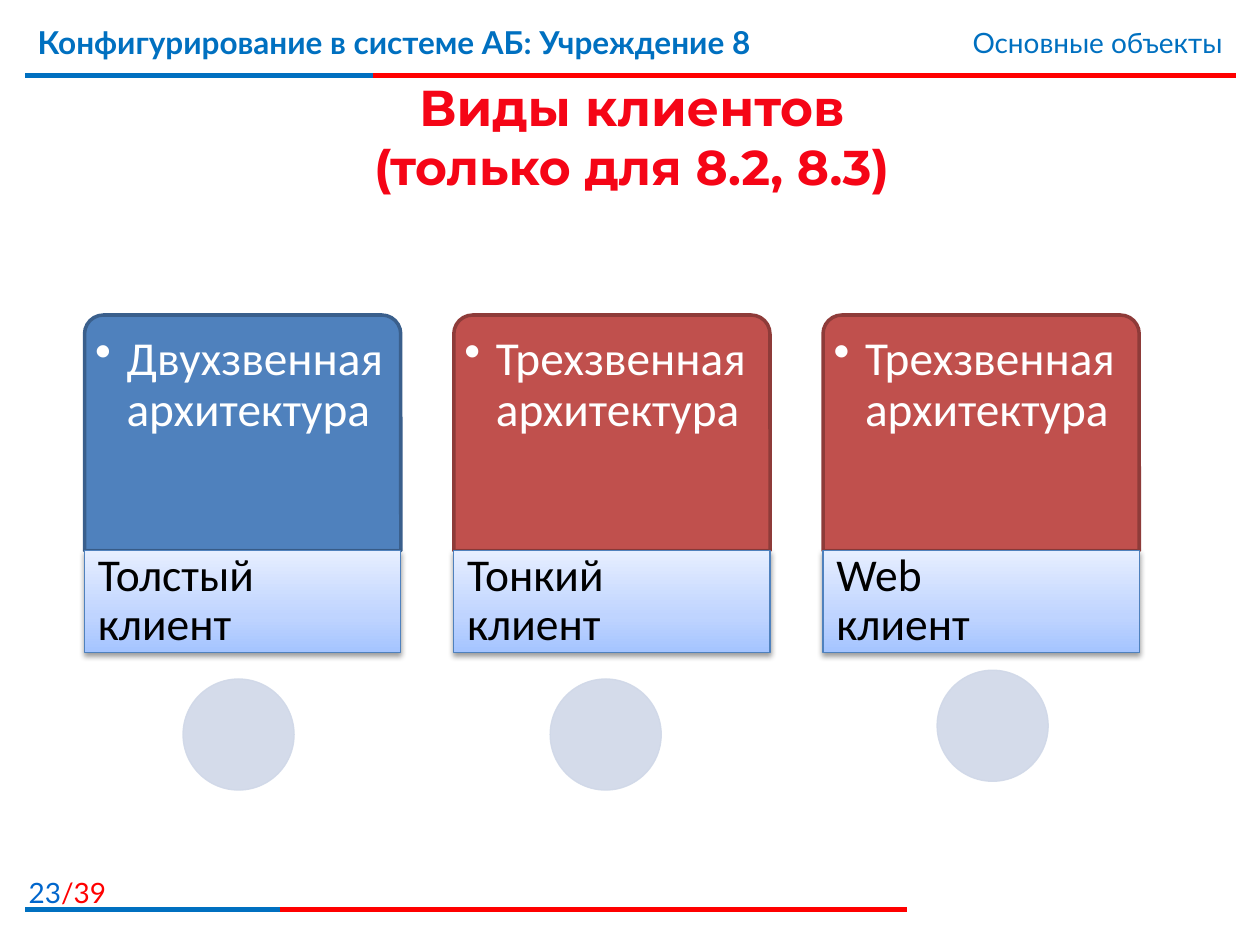
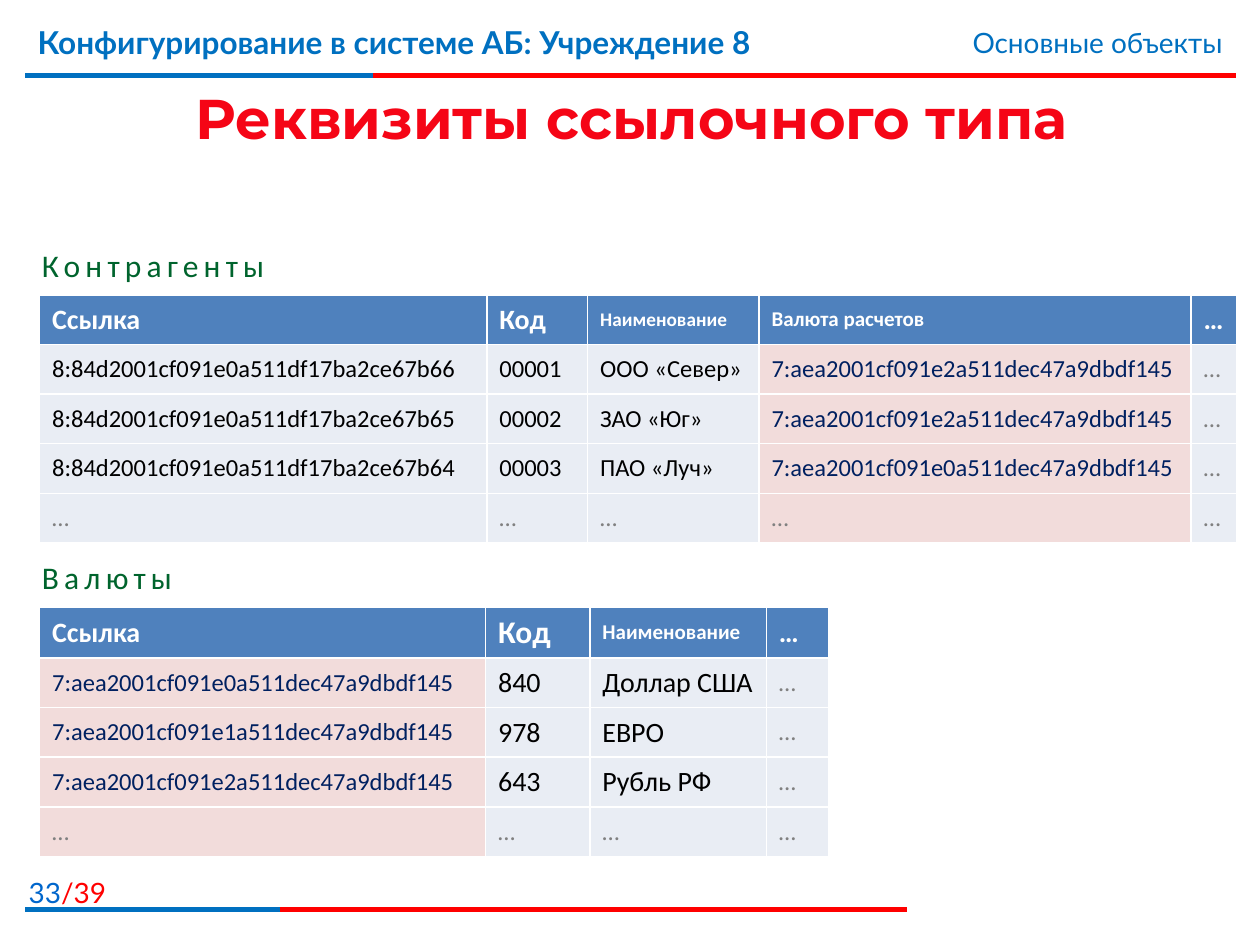
from copy import deepcopy
from dataclasses import dataclass

from lxml.etree import SubElement
from pptx import Presentation
from pptx.dml.color import RGBColor
from pptx.enum.shapes import MSO_CONNECTOR as Connector, MSO_SHAPE as Preset
from pptx.enum.text import MSO_ANCHOR as Anchor, PP_ALIGN as Align
from pptx.oxml.ns import qn
from pptx.util import Pt


@dataclass(frozen=True)
class Theme:
    blue: str = "0070C0"
    page_blue: str = "0066CC"
    red: str = "FF0000"
    title_red: str = "F50516"
    white: str = "FFFFFF"
    black: str = "000000"
    gray: str = "808080"
    navy: str = "002060"
    green: str = "00642D"
    accent_blue: str = "4F81BD"
    accent_blue_edge: str = "3A5F8C"
    accent_red: str = "C0504D"
    accent_red_edge: str = "8E3B39"
    circle: str = "D0D8E8"
    cell: str = "E9EDF4"
    reference_cell: str = "F2DCDB"
    label_stops: tuple = ((0, "A4C4FF"), (0.35, "BFD4FF"), (1, "E6EEFF"))
    frame_font: str = "Lato"
    title_font: str = "Montserrat"
    body_font: str = "Calibri"
    header_size: float = 18
    small_header_size: float = 16
    card_size: float = 27
    label_size: float = 26
    caption_size: float = 18
    cell_size: float = 14


THEME = Theme()
COURSE = "Конфигурирование в системе АБ: Учреждение 8"
SECTION = "Основные объекты"
PAGE_TOTAL = 39
ELLIPSIS = "…"


def rgb(color):
    return RGBColor.from_string(color)


def style(font, name, size, color, bold=False):
    font.name, font.size, font.bold = name, Pt(size), bold
    font.color.rgb = rgb(color)


def add_text_box(page, box, align=Align.LEFT, anchor=Anchor.TOP, wrap=True):
    """Add an empty text box and return its first paragraph."""
    frame = page.shapes.add_textbox(*map(Pt, box)).text_frame
    frame.word_wrap = wrap
    frame.vertical_anchor = anchor
    para = frame.paragraphs[0]
    para.alignment = align
    return para


def add_rule(page, left, right, top, color):
    rule = page.shapes.add_connector(
        Connector.STRAIGHT, Pt(left), Pt(top), Pt(right), Pt(top))
    rule.line.color.rgb = rgb(color)
    rule.line.width = Pt(3)
    SubElement(rule._element.spPr, qn("a:effectLst"))


def add_two_tone_rule(page, left, middle, right, top):
    add_rule(page, left, right, top, THEME.red)
    add_rule(page, left, middle, top, THEME.blue)


def add_header(page):
    add_two_tone_rule(page, 14.4, 213.2, 706.3, 43.2)
    course = add_text_box(page, (14.4, 9.4, 532.8, 44.6))
    course.text = COURSE
    style(course.font, THEME.frame_font, THEME.header_size, THEME.blue, True)
    section = add_text_box(page, (427.7, 10.8, 278, 26.6), Align.RIGHT)
    section.text = SECTION
    style(section.font, THEME.frame_font, THEME.small_header_size, THEME.blue)


def add_footer(page, number):
    para = add_text_box(page, (0, 496.8, 67.7, 23), Align.RIGHT)
    for text, color in ((str(number), THEME.page_blue),
                        (f"/{PAGE_TOTAL}", THEME.red)):
        span = para.add_run()
        span.text = text
        style(span.font, THEME.frame_font, THEME.small_header_size, color)
    add_two_tone_rule(page, 14.4, 160, 518.4, 519.8)


def add_title(page, height, lines):
    """Add a centred title; lines holds (text, size) pairs."""
    para = add_text_box(page, (15.1, 45.4, 691.9, height),
                        Align.CENTER, Anchor.MIDDLE)
    for index, (text, size) in enumerate(lines):
        if index:
            para.add_line_break()
        span = para.add_run()
        span.text = text
        style(span.font, THEME.title_font, size, THEME.title_red, True)


def add_page(deck, number, title_height, title_lines):
    page = deck.slides.add_slide(deck.slide_layouts[6])
    add_header(page)
    add_title(page, title_height, title_lines)
    add_footer(page, number)
    return page


def add_shape(page, preset, box, edge, edge_width):
    shape = page.shapes.add_shape(preset, *map(Pt, box))
    shape.shadow.inherit = False
    shape.line.color.rgb = rgb(edge)
    shape.line.width = Pt(edge_width)
    return shape


def fill_solid(shape, color):
    shape.fill.solid()
    shape.fill.fore_color.rgb = rgb(color)


def fill_label_gradient(shape):
    shape.fill.gradient()
    stop_list = shape._element.spPr.find(".//" + qn("a:gsLst"))
    stop_list.insert(1, deepcopy(stop_list[0]))
    for stop, (position, color) in zip(shape.fill.gradient_stops,
                                       THEME.label_stops):
        stop.position = position
        stop.color.rgb = rgb(color)
    shape.fill.gradient_angle = 90


def add_soft_shadow(shape):
    effects = shape._element.spPr.find(qn("a:effectLst"))
    shadow = SubElement(effects, qn("a:outerShdw"), blurRad=str(Pt(3.1)),
                        dist=str(Pt(1.6)), dir="5400000", rotWithShape="0")
    color = SubElement(shadow, qn("a:srgbClr"), val=THEME.black)
    SubElement(color, qn("a:alpha"), val="38000")


def set_shape_text(shape, text, size, color, anchor, insets, bullet=False):
    frame = shape.text_frame
    frame.word_wrap = True
    frame.vertical_anchor = anchor
    (frame.margin_left, frame.margin_top,
     frame.margin_right, frame.margin_bottom) = map(Pt, insets)
    para = frame.paragraphs[0]
    para.text = text
    para.alignment = Align.LEFT
    para.line_spacing = 0.9
    if bullet:
        properties = para._p.get_or_add_pPr()
        properties.set("marL", str(Pt(18)))
        properties.set("indent", str(Pt(-18)))
        SubElement(properties, qn("a:buChar"), char="•")
    style(para.font, THEME.body_font, size, color)


def add_client_card(page, left, top, architecture, client, fill, edge):
    width, body_height = 180.7, 134.8
    body = add_shape(page, Preset.ROUND_2_SAME_RECTANGLE,
                     (left, top, width, body_height), edge, 2)
    body.adjustments[0], body.adjustments[1] = 0.08, 0
    fill_solid(body, fill)
    set_shape_text(body, architecture, THEME.card_size, THEME.white,
                   Anchor.TOP, (2.9, 8, 2.9, 2.9), bullet=True)

    label = add_shape(page, Preset.RECTANGLE,
                      (left, top + body_height, width, 58),
                      THEME.accent_blue, 0.75)
    fill_label_gradient(label)
    add_soft_shadow(label)
    set_shape_text(label, client, THEME.label_size, THEME.black,
                   Anchor.MIDDLE, (7.6, 0, 57, 0))


def add_circle(page, left, top):
    circle = add_shape(page, Preset.OVAL, (left, top, 63.5, 63.5),
                       THEME.circle, 0.75)
    fill_solid(circle, THEME.circle)
    for color in circle._element.spPr.iter(qn("a:srgbClr")):
        SubElement(color, qn("a:alpha"), val="90000")


def build_clients_page(deck):
    page = add_page(deck, 23, 64.8, [("Виды клиентов", 28.8),
                                     ("(только для 8.2, 8.3)", 27.9)])
    blue = (THEME.accent_blue, THEME.accent_blue_edge)
    red = (THEME.accent_red, THEME.accent_red_edge)
    clients = (
        ("Двухзвенная архитектура", "Толстый клиент", blue, 56.3, 208),
        ("Трехзвенная архитектура", "Тонкий клиент", red, 55.1, 208),
        ("Трехзвенная архитектура", "Web клиент", red, 65.2, 203),
    )
    top, pitch = 180, 211
    for index, (architecture, client, colors, dx, dy) in enumerate(clients):
        left = 48.3 + index * pitch
        add_client_card(page, left, top, architecture, client, *colors)
        add_circle(page, left + dx, top + dy)


def set_cell(cell, text, size, color, fill, bold=False):
    cell.fill.solid()
    cell.fill.fore_color.rgb = rgb(fill)
    cell.vertical_anchor = Anchor.MIDDLE
    para = cell.text_frame.paragraphs[0]
    para.text = text
    style(para.font, THEME.body_font, size, color, bold)


def add_catalog(page, left, top, caption, headings, widths, records,
                reference_column, column_sizes):
    """Add a captioned table; headings holds (text, size) pairs."""
    para = add_text_box(page, (left - 5.8, top - 31.7, 146, 29), wrap=False)
    span = para.add_run()
    span.text = caption
    style(span.font, THEME.body_font, THEME.caption_size, THEME.green)
    span._r.get_or_add_rPr().set("spc", "300")

    rows = [*records, [ELLIPSIS] * len(widths)]
    row_height = 28.35
    table = page.shapes.add_table(
        len(rows) + 1, len(widths), Pt(left), Pt(top), Pt(sum(widths)),
        Pt(row_height * (len(rows) + 1))).table
    table.horz_banding = False
    for row in table.rows:
        row.height = Pt(row_height)
    for column, (width, (text, size)) in enumerate(zip(widths, headings)):
        table.columns[column].width = Pt(width)
        set_cell(table.cell(0, column), text, size, THEME.white,
                 THEME.accent_blue, True)
    for number, values in enumerate(rows, start=1):
        for column, text in enumerate(values):
            is_reference = column == reference_column
            fill = THEME.reference_cell if is_reference else THEME.cell
            color = THEME.navy if is_reference else THEME.black
            size = column_sizes[column]
            if text == ELLIPSIS:
                color, size = THEME.gray, THEME.cell_size
            set_cell(table.cell(number, column), text, size, color, fill)


def build_references_page(deck):
    page = add_page(deck, 33, 43.2, [("Реквизиты ссылочного типа", 32)])
    left = 22.6
    add_catalog(
        page, left, 168.5, "Контрагенты",
        [("Ссылка", 16), ("Код", 16), ("Наименование", 11),
         ("Валюта расчетов", 12), (ELLIPSIS, 16)],
        [255.6, 57.6, 97.9, 246.9, 25.9],
        [("8:84d2001cf091e0a511df17ba2ce67b66", "00001", "ООО «Север»",
          "7:aea2001cf091e2a511dec47a9dbdf145", ELLIPSIS),
         ("8:84d2001cf091e0a511df17ba2ce67b65", "00002", "ЗАО «Юг»",
          "7:aea2001cf091e2a511dec47a9dbdf145", ELLIPSIS),
         ("8:84d2001cf091e0a511df17ba2ce67b64", "00003", "ПАО «Луч»",
          "7:aea2001cf091e0a511dec47a9dbdf145", ELLIPSIS)],
        reference_column=3, column_sizes=[THEME.cell_size] * 5)
    add_catalog(
        page, left, 347.2, "Валюты",
        [("Ссылка", 16), ("Код", 18), ("Наименование", 12), (ELLIPSIS, 16)],
        [254.9, 59.6, 100.8, 35.5],
        [("7:aea2001cf091e0a511dec47a9dbdf145", "840", "Доллар США", ELLIPSIS),
         ("7:aea2001cf091e1a511dec47a9dbdf145", "978", "ЕВРО", ELLIPSIS),
         ("7:aea2001cf091e2a511dec47a9dbdf145", "643", "Рубль РФ", ELLIPSIS)],
        reference_column=0, column_sizes=[THEME.cell_size, 16, 16, 16])


def main():
    deck = Presentation()
    deck.slide_width, deck.slide_height = Pt(720), Pt(540)
    build_clients_page(deck)
    build_references_page(deck)
    deck.save("out.pptx")


if __name__ == "__main__":
    main()
